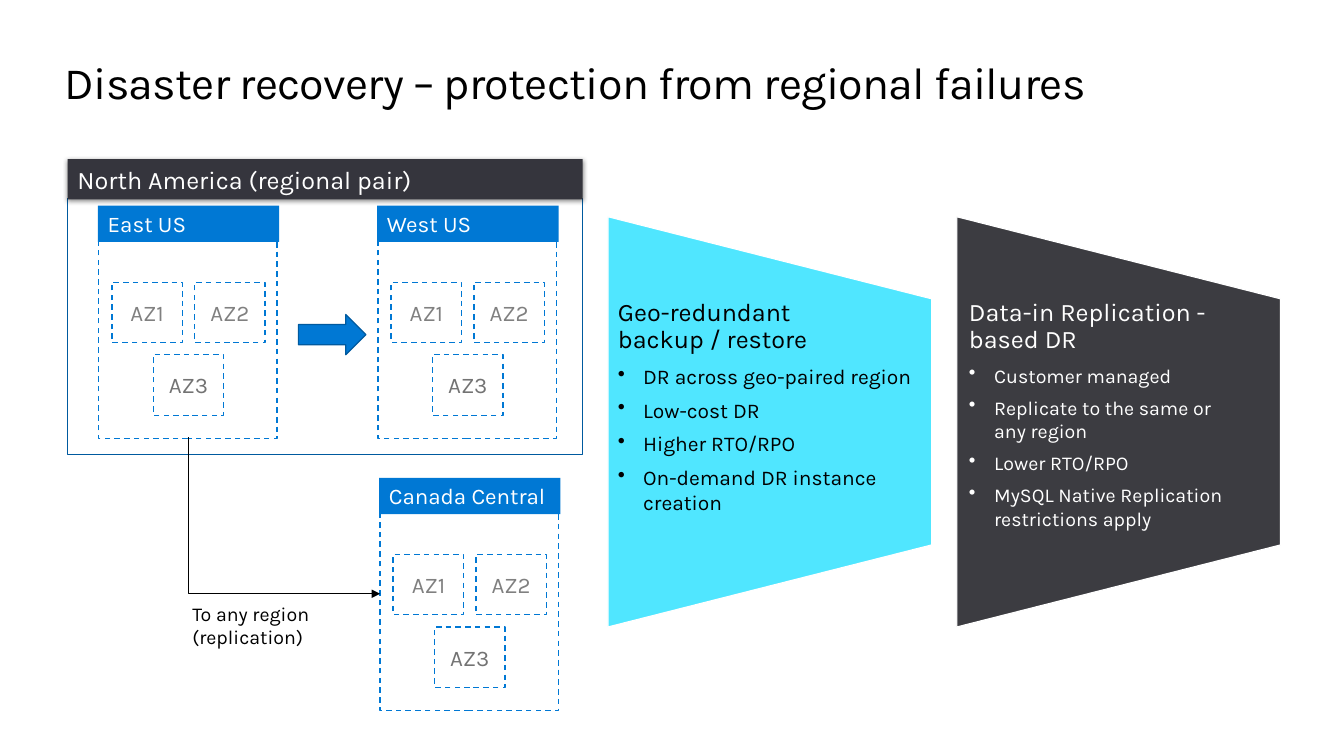
from dataclasses import dataclass

from pptx import Presentation
from pptx.dml.color import RGBColor
from pptx.enum.dml import MSO_LINE_DASH_STYLE as Dash
from pptx.enum.shapes import MSO_CONNECTOR_TYPE as Connector, MSO_SHAPE as Shape
from pptx.enum.text import MSO_ANCHOR as Anchor, PP_ALIGN as Align
from pptx.oxml.ns import qn
from pptx.oxml.xmlchemy import OxmlElement
from pptx.util import Inches, Pt


@dataclass(frozen=True)
class Theme:
    font: str = "Karla"
    black: str = "000000"
    white: str = "FFFFFF"
    blue: str = "0078D4"
    navy: str = "005A9F"
    cyan: str = "50E6FF"
    banner: str = "35353D"
    charcoal: str = "3C3C41"
    zone_gray: str = "808080"
    last_zone_gray: str = "737373"
    title_size: float = 32
    heading_size: float = 18
    label_size: float = 16
    wide_bullet_size: float = 15
    small_size: float = 14
    thin: float = 0.85
    line: float = 1


THEME = Theme()


def add_child(parent, tag, **attributes):
    child = OxmlElement(tag)
    for name, value in attributes.items():
        child.set(name, value)
    parent.append(child)
    return child


def style_runs(para, size, color):
    for span in para.runs:
        span.font.name = THEME.font
        span.font.size = Pt(size)
        span.font.color.rgb = RGBColor.from_string(color)


def set_text(shape, text, size, color, align=Align.LEFT, anchor=Anchor.MIDDLE,
             insets=(0.1, 0.05, 0.1, 0.05)):
    frame = shape.text_frame
    frame.word_wrap = True
    frame.vertical_anchor = anchor
    frame.margin_left, frame.margin_top, frame.margin_right, frame.margin_bottom = map(Inches, insets)
    frame.text = text
    para = frame.paragraphs[0]
    para.alignment = align
    style_runs(para, size, color)
    return para


def add_text(page, area, text, size, color, **options):
    box = page.shapes.add_textbox(*map(Inches, area))
    return box, set_text(box, text, size, color, **options)


def add_block(page, kind, area, fill=None, outline=None, width=THEME.line, dashed=False):
    block = page.shapes.add_shape(kind, *map(Inches, area))
    block.shadow.inherit = False
    if fill:
        block.fill.solid()
        block.fill.fore_color.rgb = RGBColor.from_string(fill)
    else:
        block.fill.background()
    if outline:
        block.line.color.rgb = RGBColor.from_string(outline)
        block.line.width = Pt(width)
        if dashed:
            block.line.dash_style = Dash.DASH
    else:
        block.line.fill.background()
    return block


def add_region(page, name, left, top):
    add_block(page, Shape.RECTANGLE, (left, top, 1.77, 2.3), THEME.white, THEME.blue, dashed=True)
    header = add_block(page, Shape.RECTANGLE, (left - 0.01, top - 0.01, 1.8, 0.36), THEME.blue)
    set_text(header, name, THEME.label_size, THEME.white, insets=(0.1, 0, 0, 0))
    zones = [
        ("AZ1", 0.13, 0.75, THEME.zone_gray),
        ("AZ2", 0.95, 0.75, THEME.zone_gray),
        ("AZ3", 0.54, 1.47, THEME.last_zone_gray),
    ]
    for label, across, down, color in zones:
        zone = add_block(page, Shape.RECTANGLE, (left + across, top + down, 0.7, 0.6),
                         outline=THEME.blue, dashed=True)
        set_text(zone, label, THEME.label_size, color, Align.CENTER)


def add_regional_pair(page):
    add_block(page, Shape.RECTANGLE, (0.67, 1.97, 5.11, 2.54), outline=THEME.navy, width=THEME.thin)
    banner = add_block(page, Shape.RECTANGLE, (0.67, 1.58, 5.11, 0.4), THEME.banner)
    set_text(banner, "North America (regional pair)", THEME.heading_size, THEME.white)
    effects = banner._element.spPr.find(qn("a:effectLst"))
    shadow = add_child(effects, "a:outerShdw", blurRad=str(Pt(3.5)), dist=str(Pt(1.1)),
                       dir="5400000", algn="t", rotWithShape="0")
    color = add_child(shadow, "a:srgbClr", val=THEME.black)
    add_child(color, "a:alpha", val="45000")
    add_block(page, Shape.RIGHT_ARROW, (2.96, 3.12, 0.67, 0.4), THEME.blue, THEME.navy, THEME.thin)


def add_corner_arrow(page, start_x, start_y, end_x, end_y):
    middle_x, middle_y = (start_x + end_x) / 2, (start_y + end_y) / 2
    half_width, half_height = (end_y - start_y) / 2, (end_x - start_x) / 2
    arrow = page.shapes.add_connector(
        Connector.ELBOW,
        Inches(middle_x + half_width), Inches(middle_y - half_height),
        Inches(middle_x - half_width), Inches(middle_y + half_height))
    arrow.line.color.rgb = RGBColor.from_string(THEME.black)
    arrow.line.width = Pt(THEME.line)
    properties = arrow._element.spPr
    properties.find(qn("a:xfrm")).set("rot", "16200000")
    properties.find(qn("a:prstGeom")).set("prst", "bentConnector2")
    add_child(properties.find(qn("a:ln")), "a:tailEnd", type="triangle")
    add_child(properties, "a:effectLst")


def add_bullet(frame, text, size, color):
    para = frame.add_paragraph()
    para.text = text
    para.level = 1
    settings = para._p.get_or_add_pPr()
    settings.set("marL", str(Inches(0.25)))
    settings.set("indent", str(Inches(-0.25)))
    add_child(settings, "a:buChar", char="•")
    para.space_after = Pt(6)
    style_runs(para, size, color)


def add_option(page, left, fill, color, inset, heading, bullets, bullet_size):
    funnel = add_block(page, Shape.FLOWCHART_MANUAL_OPERATION, (left - 0.43, 2.58, 4.07, 3.21),
                       fill, THEME.white, THEME.thin)
    funnel.rotation = 270
    box, para = add_text(page, (left, 2.97, 3.21, 2.44), heading, THEME.heading_size, color,
                         anchor=Anchor.TOP, insets=(inset, 0, inset, 0))
    para.line_spacing = 0.9
    para.space_after = Pt(7)
    for bullet in bullets:
        add_bullet(box.text_frame, bullet, bullet_size, color)


def main():
    deck = Presentation()
    deck.slide_width, deck.slide_height = Inches(13.33), Inches(7.5)
    page = deck.slides.add_slide(deck.slide_layouts[6])

    _, title = add_text(page, (0.64, 0.5, 12.05, 0.61),
                        "Disaster recovery – protection from regional failures",
                        THEME.title_size, THEME.black, insets=(0, 0, 0, 0))
    title.runs[0].font._element.set("spc", "-50")

    for name, left, top in [("East US", 0.98, 2.05), ("West US", 3.75, 2.05),
                            ("Canada Central", 3.77, 4.75)]:
        add_region(page, name, left, top)
    add_regional_pair(page)
    add_corner_arrow(page, 1.87, 4.34, 3.77, 5.89)
    add_text(page, (1.81, 5.92, 1.64, 0.57), "To any region (replication)",
             THEME.small_size, THEME.black, anchor=Anchor.TOP)

    add_option(page, 6.03, THEME.cyan, THEME.black, 0.1, "Geo-redundant\vbackup / restore",
               ["DR across geo-paired region", "Low-cost DR", "Higher RTO/RPO",
                "On-demand DR instance creation"], THEME.wide_bullet_size)
    add_option(page, 9.49, THEME.charcoal, THEME.white, 0.12, "Data-in Replication - based DR",
               ["Customer managed", "Replicate to the same or\vany region", "Lower RTO/RPO",
                "MySQL Native Replication restrictions apply"], THEME.small_size)
    deck.save("out.pptx")


if __name__ == "__main__":
    main()
